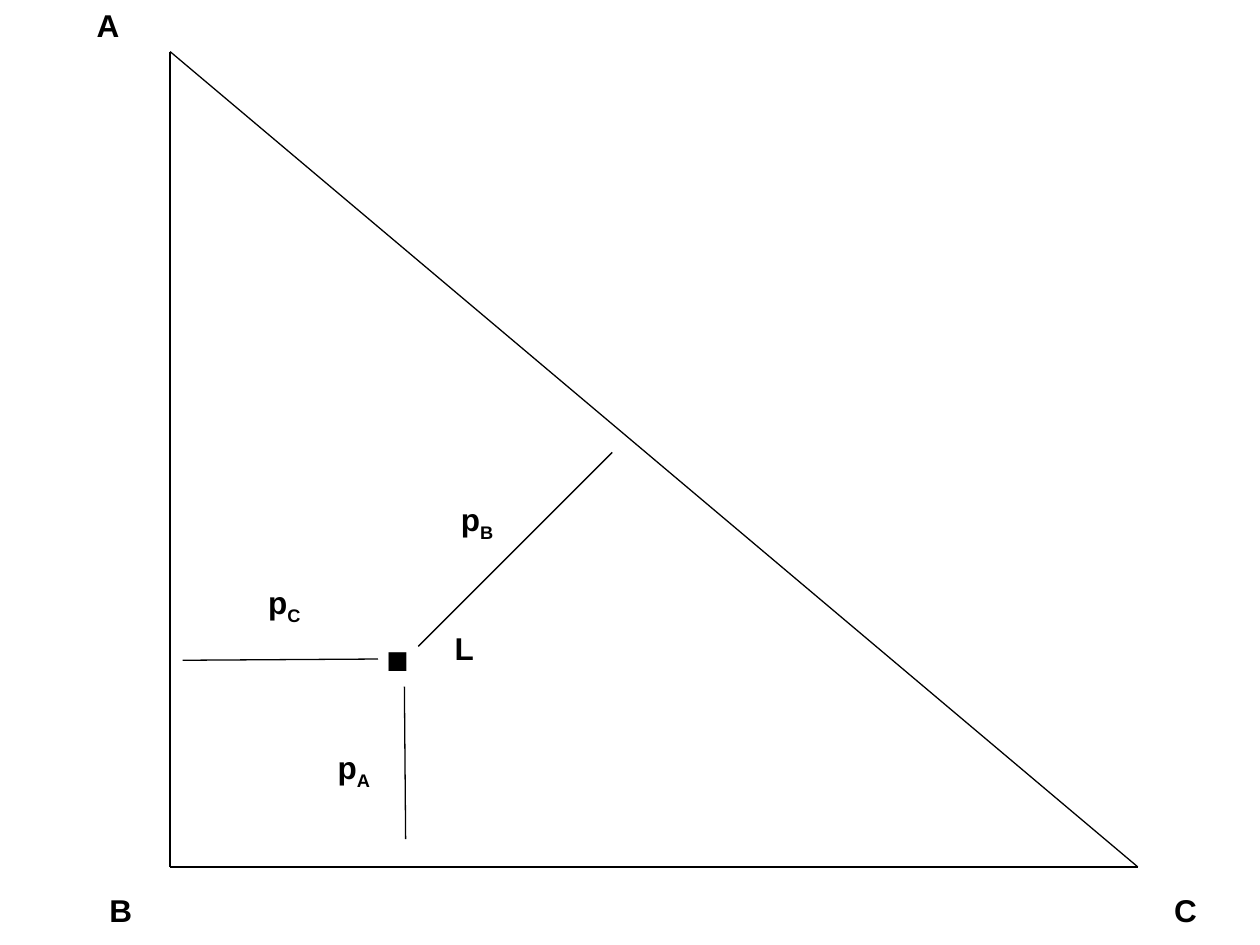
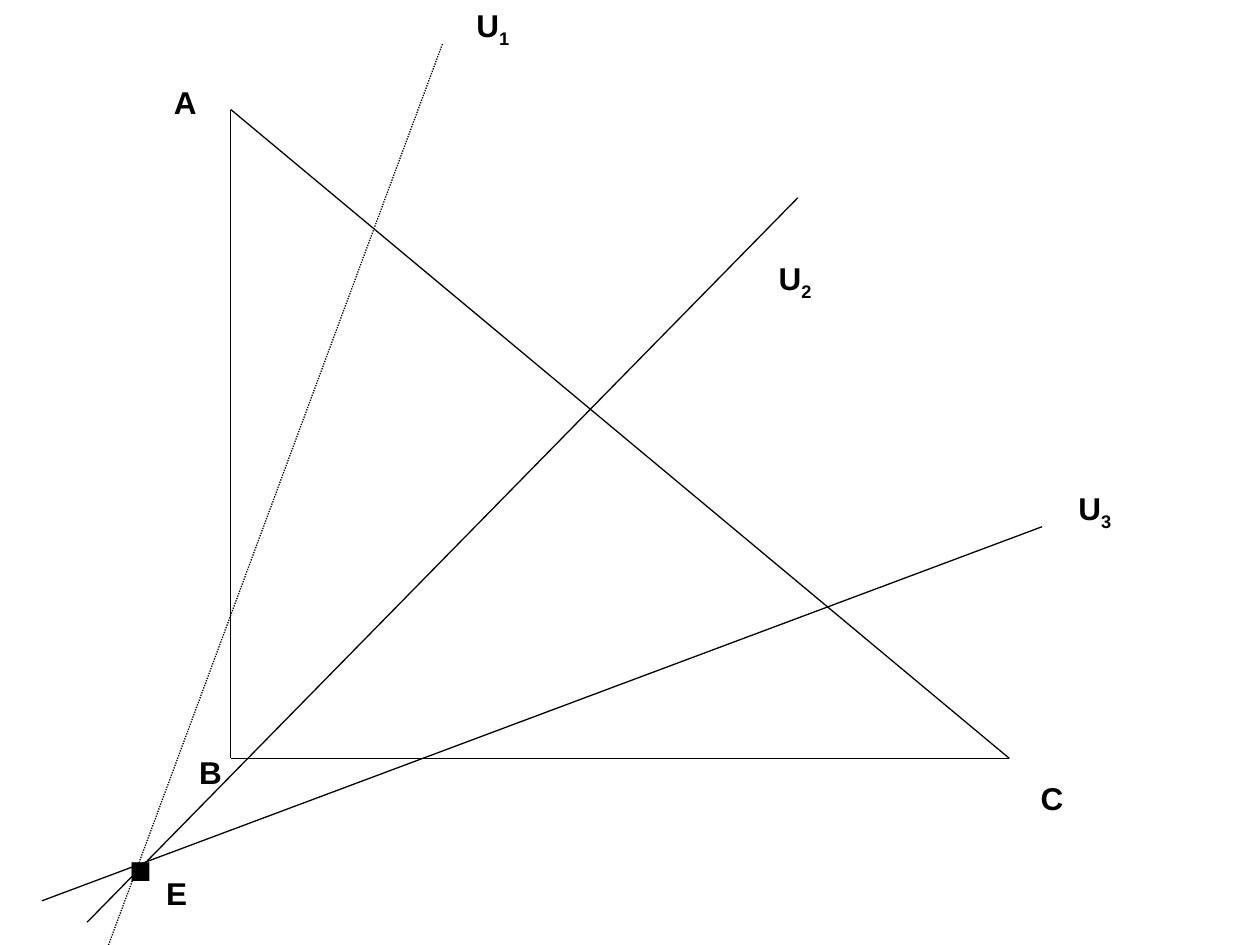
from collections import namedtuple

from pptx import Presentation
from pptx.dml.color import RGBColor as Color
from pptx.enum.dml import MSO_LINE_DASH_STYLE as Dash
from pptx.enum.shapes import MSO_CONNECTOR_TYPE as Connector
from pptx.enum.text import MSO_AUTO_SIZE as AutoSize
from pptx.oxml.ns import qn
from pptx.util import Pt
from lxml.etree import SubElement

Box = namedtuple("Box", "left top width height")


class Theme:
    ink = Color(0, 0, 0)
    font = "Arial"
    label_size = 18
    marker_size = 72
    line_width = 0.75
    subscript = "-25000"
    margins = {"margin_left": 7.2, "margin_right": 7.2,
               "margin_top": 3.6, "margin_bottom": 3.6}


def add_line(page, box, start, end, dash=None):
    """Draw a line between two points measured from the box corner."""
    line = page.shapes.add_connector(
        Connector.STRAIGHT,
        Pt(box.left + start[0]), Pt(box.top + start[1]),
        Pt(box.left + end[0]), Pt(box.top + end[1]))
    line.line.color.rgb = Theme.ink
    line.line.width = Pt(Theme.line_width)
    if dash:
        line.line.dash_style = dash
    SubElement(line._element.spPr, qn("a:effectLst"))


def add_text(page, box, offset, extent, text, subscript="",
             size=Theme.label_size, wrap=False):
    """Write a bold label, with an optional subscript, in the box."""
    label = page.shapes.add_textbox(
        Pt(box.left + offset[0]), Pt(box.top + offset[1]),
        Pt(extent[0]), Pt(extent[1]))
    frame = label.text_frame
    frame.word_wrap = wrap
    frame.auto_size = AutoSize.SHAPE_TO_FIT_TEXT
    for name, value in Theme.margins.items():
        setattr(frame, name, Pt(value))

    para = frame.paragraphs[0]
    font_format = {"name": Theme.font, "size": Pt(size), "bold": True}
    for part in filter(None, (text, subscript)):
        span = para.add_run()
        span.text = part
        for name, value in font_format.items():
            setattr(span.font, name, value)
        span.font.color.rgb = Theme.ink
    if subscript:
        span._r.get_or_add_rPr().set("baseline", Theme.subscript)


def add_letter(page, box, offset, letter, width=27.4):
    add_text(page, box, offset, (width, 28.8), letter)


def add_indexed(page, box, offset, letter, index):
    add_text(page, box, offset, (33.1, 31.7), letter, index)


def add_marker(page, box, offset, width, wrap):
    """Mark a point with a large full stop."""
    add_text(page, box, offset, (width, 93.6), ".",
             size=Theme.marker_size, wrap=wrap)


def draw_triangle(page, box, label_offsets):
    """Right triangle ABC filling the box; labels sit off its corners."""
    corners = {"A": (0, 0), "B": (0, box.height), "C": (box.width, box.height)}
    for first, last in ("AB", "BC", "AC"):
        add_line(page, box, corners[first], corners[last])
    for letter, (x, y) in corners.items():
        shift_x, shift_y = label_offsets[letter]
        add_letter(page, box, (x + shift_x, y + shift_y), letter)


def draw_distances(page, box):
    """Point L inside the triangle and its distances to the sides."""
    add_marker(page, box, (113, 278.7), 34.6, wrap=False)
    add_letter(page, box, (155.5, 326.2), "L", 25.2)
    distances = {
        "A": ((133.9, 362.9), (134.6, 450), (88.6, 394.6)),
        "C": ((118.8, 347.1), (7.2, 347.8), (49, 300.3)),
        "B": ((141.8, 339.9), (252.7, 229), (159.1, 252.7)),
    }
    for side, (start, end, label) in distances.items():
        add_line(page, box, start, end)
        add_indexed(page, box, label, "p", side)


def draw_rays(page, box):
    """Rays U through point E, below the triangle."""
    rays = {
        "1": ((-69.9, 477.4), (120.9, -37.4), (133.2, -62.6), Dash.ROUND_DOT),
        "2": ((-82.1, 464.4), (324, 50.4), (306, 82.1), None),
        "3": ((-108, 452.2), (463.6, 238.4), (477.3, 213.2), None),
    }
    for index, (start, end, label, dash) in rays.items():
        add_line(page, box, start, end, dash)
        add_indexed(page, box, label, "U", index)
    add_letter(page, box, (-44, 433.5), "E", 25.9)
    add_marker(page, box, (-68.4, 365.8), 38.9, wrap=True)


def main():
    deck = Presentation()
    deck.slide_width, deck.slide_height = Pt(720), Pt(540)
    blank = deck.slide_layouts[6]

    # Distances from a point inside the triangle
    page = deck.slides.add_slide(blank)
    box = Box(97.2, 29.5, 553, 465.9)
    draw_triangle(page, box, {"A": (-49, -29.5), "B": (-41.8, 10),
                              "C": (13.6, 10)})
    draw_distances(page, box)

    # Rays from a point outside the triangle
    page = deck.slides.add_slide(blank)
    box = Box(131.9, 62.6, 444.9, 370.8)
    draw_triangle(page, box, {"A": (-39.6, -18.7), "B": (-25.2, -6.4),
                              "C": (10.8, 8)})
    draw_rays(page, box)

    deck.save("out.pptx")


if __name__ == "__main__":
    main()
